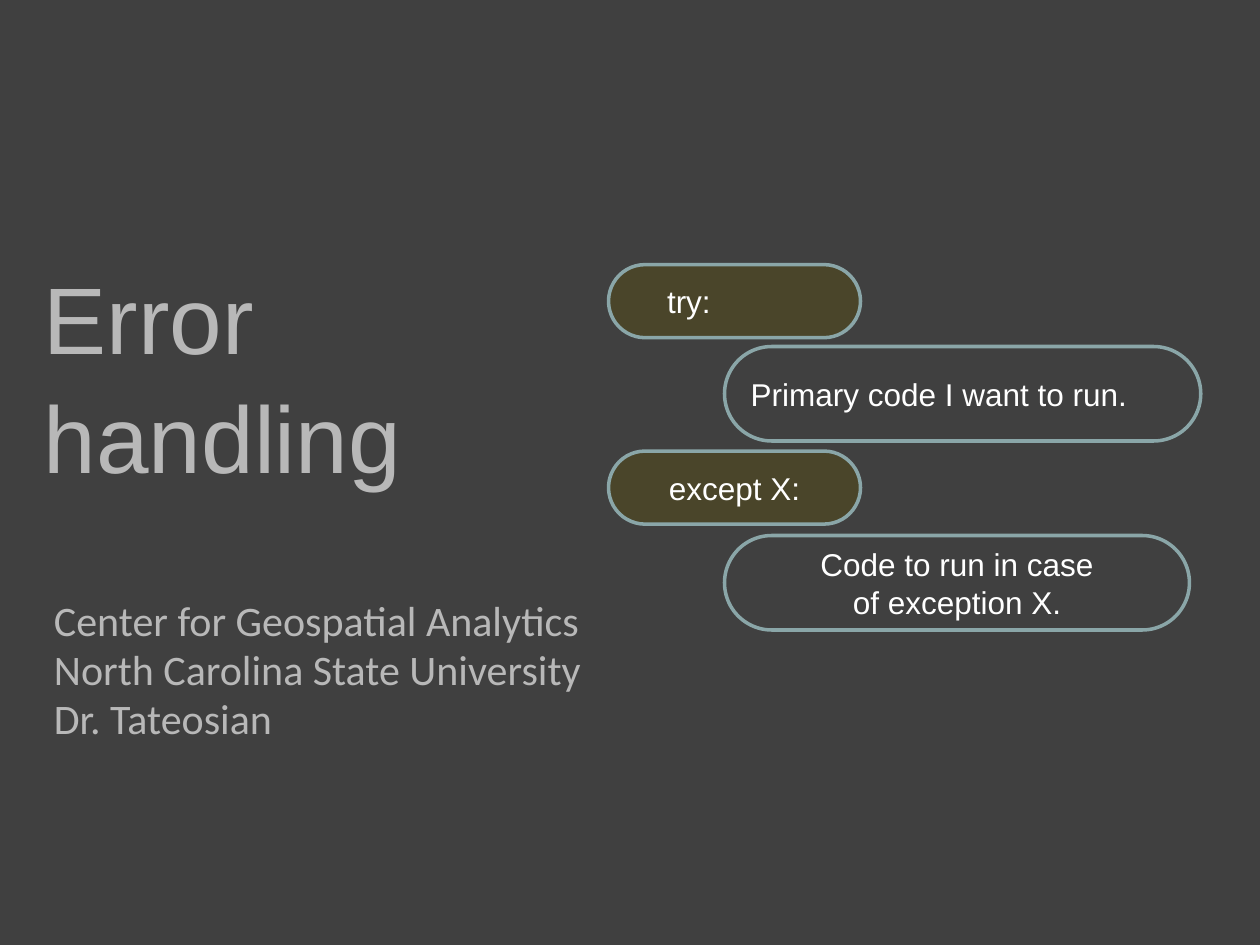
from pptx import Presentation
from pptx.dml.color import RGBColor
from pptx.enum.shapes import MSO_SHAPE
from pptx.enum.text import MSO_ANCHOR, PP_ALIGN
from pptx.util import Inches, Pt

LEFT, CENTER = PP_ALIGN.LEFT, PP_ALIGN.CENTER
TOP, MIDDLE = MSO_ANCHOR.TOP, MSO_ANCHOR.MIDDLE
ROUNDED = MSO_SHAPE.ROUNDED_RECTANGLE

COLORS = {
    "background": "404040",
    "heading": "B8B8B8",
    "keyword": "4A452A",
    "outline": "8AA6A8",
    "code": "FFFFFF",
}
TITLE = {"font": "Arial", "size": 54, "color": "heading",
         "paragraph": {"line_spacing": 1.05}}
SUBTITLE = {"font": "Calibri", "size": 24, "color": "heading",
            "paragraph": {"line_spacing": 0.8, "space_before": Pt(4.8)}}
CODE = {"font": "Arial", "size": 18, "color": "code", "paragraph": {}}


def color(name):
    return RGBColor.from_string(COLORS[name])


def write_text(shape, lines, style, anchor=MIDDLE, align=LEFT):
    """Fill a shape with one paragraph per line."""
    frame = shape.text_frame
    frame.word_wrap = True
    frame.vertical_anchor = anchor
    frame.text = "\n".join(lines)
    for paragraph in frame.paragraphs:
        for name, value in {"alignment": align, **style["paragraph"]}.items():
            setattr(paragraph, name, value)
        font = paragraph.runs[0].font
        for name, value in {"name": style["font"], "size": Pt(style["size"])}.items():
            setattr(font, name, value)
        font.color.rgb = color(style["color"])


def add_text(slide, box, lines, style, anchor):
    shape = slide.shapes.add_textbox(*map(Inches, box))
    write_text(shape, lines, style, anchor)


def add_pill(slide, box, lines, fill=None, align=LEFT, indent=0.1):
    shape = slide.shapes.add_shape(ROUNDED, *map(Inches, box))
    shape.adjustments[0] = 0.5
    shape.shadow.inherit = False
    if fill:
        shape.fill.solid()
        shape.fill.fore_color.rgb = color(fill)
    else:
        shape.fill.background()
    shape.line.color.rgb = color("outline")
    shape.line.width = Pt(2)
    shape.text_frame.margin_left = Inches(indent)
    write_text(shape, lines, CODE, align=align)


def add_headings(slide, left, top):
    """Title with the affiliation below it."""
    title_height = 3.58
    add_text(slide, (left, top, 4.67, title_height), ["Error handling"], TITLE, MIDDLE)
    affiliation = ["Center for Geospatial Analytics",
                   "North Carolina State University", "Dr. Tateosian"]
    add_text(slide, (left + 0.08, top + title_height, 5.17, 1.33),
             affiliation, SUBTITLE, TOP)


def add_try_diagram(slide, left, top):
    """Keyword pills, each followed by an indented block pill."""
    clauses = [
        ("try:", {"indent": 0.38}, ["Primary code I want to run."], 3.78, LEFT, 0.65),
        ("except X:", {"align": CENTER},
         ["Code to run in case", "of exception X."], 3.69, CENTER, 0.67),
    ]
    for index, (keyword, layout, block, width, align, drop) in enumerate(clauses):
        clause_top = top + index * 1.48
        add_pill(slide, (left, clause_top, 2, 0.58), [keyword], "keyword", **layout)
        add_pill(slide, (left + 0.92, clause_top + drop, width, 0.75), block, align=align)


presentation = Presentation()
presentation.slide_width = Inches(10)
presentation.slide_height = Inches(7.5)
slide = presentation.slides.add_slide(presentation.slide_layouts[6])
slide.background.fill.solid()
slide.background.fill.fore_color.rgb = color("background")

add_headings(slide, 0.25, 1.17)
add_try_diagram(slide, 4.83, 2.1)

presentation.save("out.pptx")
